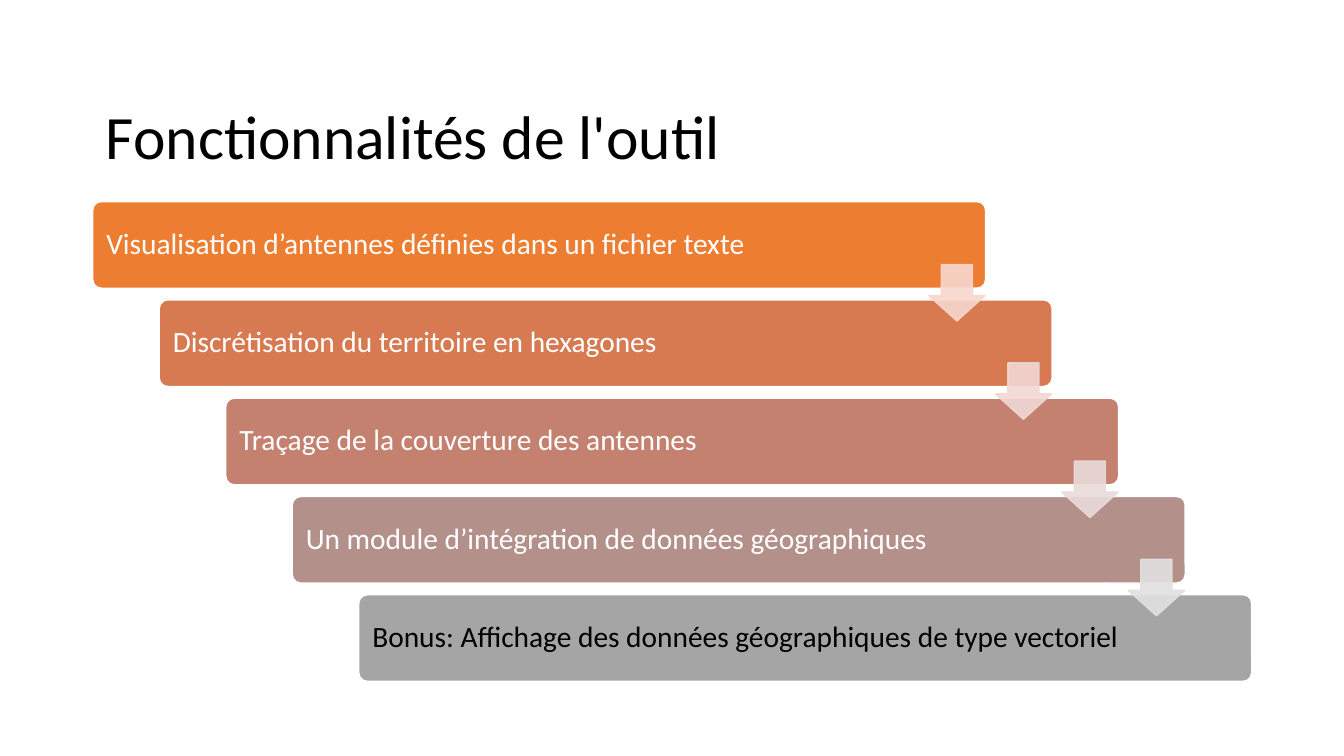
from dataclasses import dataclass

from lxml import etree
from pptx import Presentation
from pptx.dml.color import RGBColor
from pptx.enum.shapes import MSO_SHAPE
from pptx.enum.text import MSO_ANCHOR, MSO_AUTO_SIZE, PP_ALIGN
from pptx.oxml.ns import qn
from pptx.shapes.autoshape import Shape
from pptx.slide import Slide
from pptx.util import Emu, Pt

BAR = MSO_SHAPE.ROUNDED_RECTANGLE
ARROW = MSO_SHAPE.DOWN_ARROW
MIDDLE = MSO_ANCHOR.MIDDLE
LEFT = PP_ALIGN.LEFT
FIXED = MSO_AUTO_SIZE.NONE

SCALE = 4572  # EMU per px, 200 px to the inch
STEP_X, STEP_Y = 132, 195
FONT = "Calibri"


@dataclass
class Step:
    text: str
    fill: str
    ink: str = "FFFFFF"


STEPS = [
    Step("Visualisation d’antennes définies dans un fichier texte", "ED7D31"),
    Step("Discrétisation du territoire en hexagones", "D87A51"),
    Step("Traçage de la couverture des antennes", "C48170"),
    Step("Un module d’intégration de données géographiques", "B4908B"),
    Step("Bonus: Affichage des données géographiques de type vectoriel",
         "A5A5A5", "000000"),
]
ARROWS = ["F8D7CE", "F1D8D4", "E9DBDA", "E1E1E1"]


def px(size: int) -> Emu:
    return Emu(size * SCALE)


def color(code: str) -> RGBColor:
    return RGBColor.from_string(code)


def write(shape: Shape, text: str, size: int, ink: str) -> None:
    frame = shape.text_frame
    frame.text = text
    frame.word_wrap = True
    frame.auto_size = FIXED
    frame.vertical_anchor = MIDDLE
    line = frame.paragraphs[0]
    line.alignment = LEFT
    line.line_spacing = 0.9
    line.font.name = FONT
    line.font.size = Pt(size)
    line.font.color.rgb = color(ink)


def draw(slide: Slide, kind: MSO_SHAPE, box: tuple[int, int, int, int],
         fill: str, edge: str, ratios: list[float]) -> Shape:
    shape = slide.shapes.add_shape(kind, *map(px, box))
    shape.shadow.inherit = False
    shape.fill.solid()
    shape.fill.fore_color.rgb = color(fill)
    shape.line.color.rgb = color(edge)
    shape.line.width = Pt(1)
    for i, ratio in enumerate(ratios):
        shape.adjustments[i] = ratio
    return shape


def fade(shape: Shape, percent: int) -> None:
    """Set the opacity of the fill and the line."""
    for node in shape.element.spPr.iter(qn("a:srgbClr")):
        etree.SubElement(node, qn("a:alpha"), val=str(percent * 1000))


def add_bar(slide: Slide, index: int, step: Step) -> None:
    box = (184 + index * STEP_X, 400 + index * STEP_Y, 1772, 172)
    bar = draw(slide, BAR, box, step.fill, "FFFFFF", [0.1])
    write(bar, step.text, 21, step.ink)
    bar.text_frame.margin_left = px(22)


def add_arrow(slide: Slide, index: int, fill: str) -> None:
    box = (1843 + index * STEP_X, 525 + index * STEP_Y, 112, 112)
    fade(draw(slide, ARROW, box, fill, fill, [0.55, 0.45]), 90)


def main() -> None:
    deck = Presentation()
    deck.slide_width, deck.slide_height = px(2667), px(1500)
    slide = deck.slides.add_slide(deck.slide_layouts[5])

    for index, step in enumerate(STEPS):
        add_bar(slide, index, step)
    for index, fill in enumerate(ARROWS):
        add_arrow(slide, index, fill)

    title = slide.shapes.title
    title.left, title.top = px(190), px(132)
    title.width, title.height = px(2286), px(290)
    write(title, "Fonctionnalités de l'outil", 44, "000000")

    deck.save("out.pptx")


if __name__ == "__main__":
    main()
